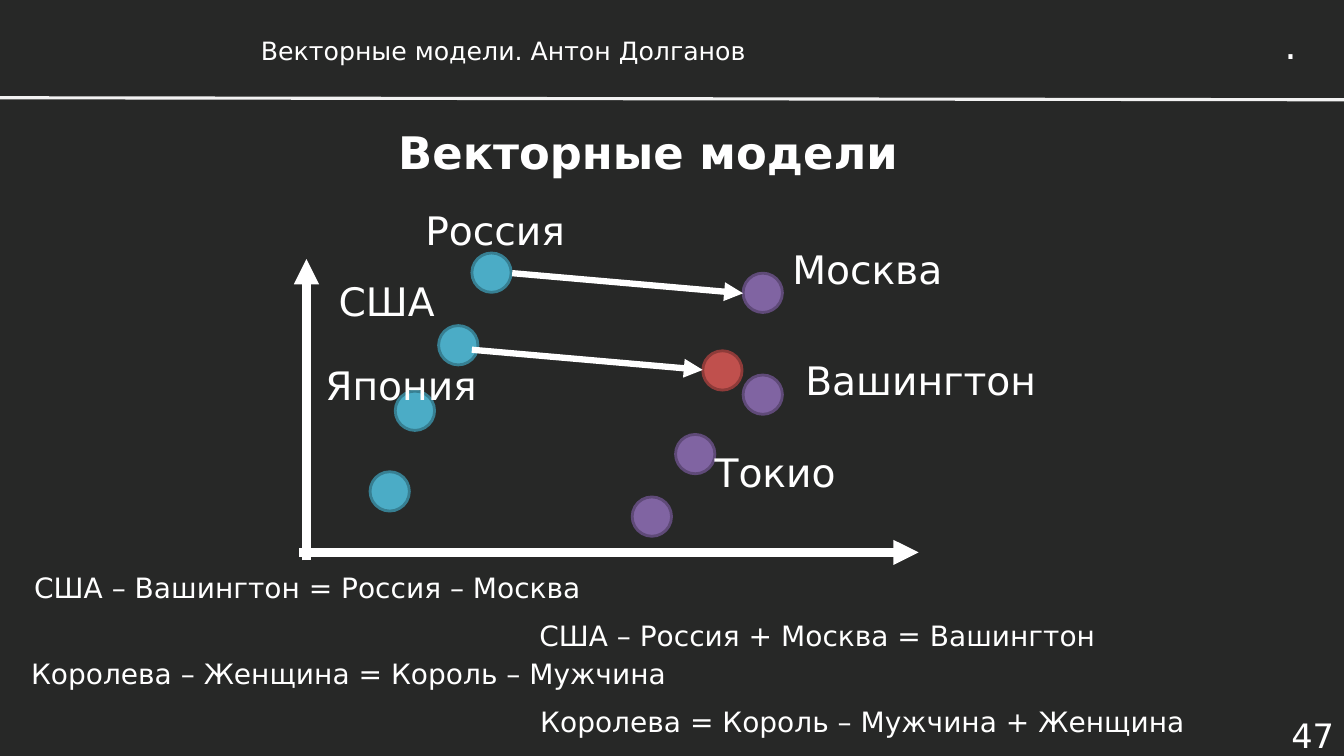
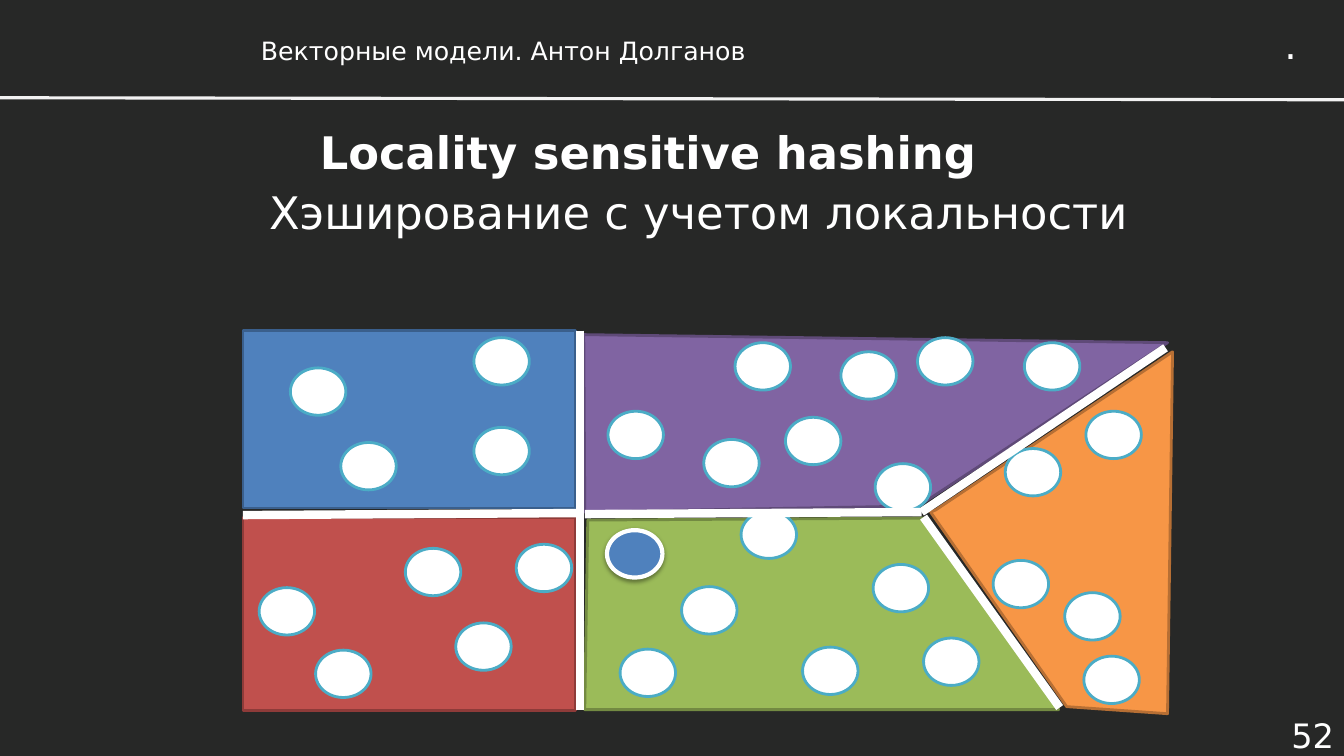
from dataclasses import dataclass

import pptx
import pptx.util
from lxml import etree
from pptx.dml.color import RGBColor
from pptx.enum.shapes import MSO_CONNECTOR, MSO_SHAPE
from pptx.enum.text import MSO_ANCHOR, MSO_AUTO_SIZE, PP_ALIGN
from pptx.oxml.ns import qn
from pptx.util import Inches, Pt


@dataclass(frozen=True)
class Paint:
    fill: str
    line: str


@dataclass(frozen=True)
class Theme:
    font: str = "DejaVu Sans"
    background: str = "272827"
    text: str = "FFFFFF"
    rule: str = "F2F2F2"
    shadow: str = "000000"
    blue: Paint = Paint("4F81BD", "3A5F8C")
    red: Paint = Paint("C0504D", "8E3B39")
    green: Paint = Paint("9BBB59", "738A42")
    purple: Paint = Paint("8064A2", "5F4A78")
    teal: Paint = Paint("4BACC6", "377F92")
    orange: Paint = Paint("F79646", "B76F34")
    point: Paint = Paint("FFFFFF", "4BACC6")
    query: Paint = Paint("4F81BD", "FFFFFF")
    title_size: int = 32
    label_size: int = 28
    number_size: int = 24
    formula_size: int = 20
    header_size: int = 18
    outline: float = 2
    query_outline: float = 3
    rule_width: float = 2.25
    arrow_width: float = 4.5
    axis_width: float = 6


@dataclass(frozen=True)
class Label:
    text: str
    left: float
    top: float
    width: float
    height: float
    size: int
    align: PP_ALIGN = PP_ALIGN.LEFT
    anchor: MSO_ANCHOR = MSO_ANCHOR.TOP
    wrap: bool = True
    grow: bool = True


@dataclass(frozen=True)
class Segment:
    start: tuple[float, float]
    end: tuple[float, float]
    width: float
    arrow: bool = False
    color: str = "FFFFFF"


@dataclass(frozen=True)
class Dots:
    paint: Paint
    corners: list[tuple[float, float]]


@dataclass(frozen=True)
class Region:
    paint: Paint
    outline: list[tuple[float, float]]


THEME = Theme()
HEADER = "Векторные модели. Антон Долганов"
SLIDE_WIDTH, SLIDE_HEIGHT = 13.33, 7.5
WORD_DOT = (0.39, 0.39)
HASH_DOT = (0.55, 0.47)


# Drawing helpers
def add_run(paragraph, text: str, size: int, bold: bool = False) -> None:
    run = paragraph.add_run()
    run.text = text
    run.font.name = THEME.font
    run.font.size = Pt(size)
    run.font.bold = bold
    run.font.color.rgb = RGBColor.from_string(THEME.text)


def add_label(slide, label: Label) -> None:
    box = slide.shapes.add_textbox(Inches(label.left), Inches(label.top),
                                   Inches(label.width), Inches(label.height))
    frame = box.text_frame
    frame.word_wrap = label.wrap
    frame.auto_size = MSO_AUTO_SIZE.SHAPE_TO_FIT_TEXT if label.grow else MSO_AUTO_SIZE.NONE
    frame.vertical_anchor = label.anchor
    frame.paragraphs[0].alignment = label.align
    add_run(frame.paragraphs[0], label.text, label.size)


def add_segment(slide, segment: Segment) -> None:
    line = slide.shapes.add_connector(MSO_CONNECTOR.STRAIGHT,
                                      *map(Inches, segment.start + segment.end))
    line.line.color.rgb = RGBColor.from_string(segment.color)
    line.line.width = Pt(segment.width)
    properties = line._element.spPr
    if segment.arrow:
        etree.SubElement(properties.find(qn("a:ln")), qn("a:tailEnd"), type="triangle")
    etree.SubElement(properties, qn("a:effectLst"))


def paint_shape(shape, paint: Paint, outline: float = THEME.outline) -> None:
    shape.shadow.inherit = False
    shape.fill.solid()
    shape.fill.fore_color.rgb = RGBColor.from_string(paint.fill)
    shape.line.color.rgb = RGBColor.from_string(paint.line)
    shape.line.width = Pt(outline)


def add_dot(slide, corner: tuple[float, float], size: tuple[float, float],
            paint: Paint, outline: float = THEME.outline):
    dot = slide.shapes.add_shape(MSO_SHAPE.OVAL, *map(Inches, corner + size))
    paint_shape(dot, paint, outline)
    return dot


def add_soft_shadow(shape) -> None:
    effects = shape._element.spPr.find(qn("a:effectLst"))
    shadow = etree.SubElement(effects, qn("a:outerShdw"), blurRad=str(Pt(3.1)),
                              dist=str(Pt(1.6)), dir=str(90 * 60000), rotWithShape="0")
    color = etree.SubElement(shadow, qn("a:srgbClr"), val=THEME.shadow)
    etree.SubElement(color, qn("a:alpha"), val="38000")


def add_region(slide, region: Region) -> None:
    first, *rest = [(Inches(x), Inches(y)) for x, y in region.outline]
    builder = slide.shapes.build_freeform(*first)
    builder.add_line_segments(rest, close=True)
    paint_shape(builder.convert_to_shape(), region.paint)


def add_block(slide, top: float, height: float, paint: Paint) -> None:
    block = slide.shapes.add_shape(MSO_SHAPE.RECTANGLE, Inches(2.41), Inches(top),
                                   Inches(3.3), Inches(height))
    paint_shape(block, paint)


# Title, header band and page number shared by the slides
def start_slide(deck, heading: str, number: int):
    slide = deck.slides.add_slide(deck.slide_layouts[5])
    title = slide.shapes.title
    title.left, title.top = Inches(2.1), Inches(1.05)
    title.width, title.height = Inches(8.66), Inches(0.91)
    title.text_frame.vertical_anchor = MSO_ANCHOR.MIDDLE
    title.text_frame.paragraphs[0].alignment = PP_ALIGN.CENTER
    add_run(title.text_frame.paragraphs[0], heading, THEME.title_size, bold=True)

    add_label(slide, Label(str(number), 12.28, 7.08, 1.05, 0.42, THEME.number_size,
                           PP_ALIGN.RIGHT, MSO_ANCHOR.MIDDLE, grow=False))
    add_segment(slide, Segment((0, 0.97), (SLIDE_WIDTH, 0.99), THEME.rule_width,
                               color=THEME.rule))
    add_label(slide, Label(".", 12.64, 0.15, 0.34, 0.57, THEME.label_size, wrap=False))
    add_label(slide, Label(HEADER, 2.49, 0.3, 8.27, 0.4, THEME.header_size))
    return slide


def build_vector_models(deck) -> None:
    slide = start_slide(deck, "Векторные модели", 47)

    # Axes
    for axis_start, axis_end in [((2.97, 5.48), (9.11, 5.48)), ((3.04, 5.56), (3.04, 2.57))]:
        add_segment(slide, Segment(axis_start, axis_end, THEME.axis_width, arrow=True))

    # Countries, capitals and the estimated capital
    for group in [
        Dots(THEME.teal, [(4.68, 2.51), (4.35, 3.23), (3.92, 3.88), (3.67, 4.68)]),
        Dots(THEME.purple, [(6.7, 4.31), (7.37, 3.72), (7.37, 2.71), (6.27, 4.93)]),
        Dots(THEME.red, [(6.97, 3.48)]),
    ]:
        for corner in group.corners:
            add_dot(slide, corner, WORD_DOT, group.paint)

    # The same offset leads from each country to its capital
    offset_x, offset_y = 2.29, 0.2
    for x, y in [(5.08, 2.71), (4.68, 3.47)]:
        add_segment(slide, Segment((x, y), (x + offset_x, y + offset_y),
                                   THEME.arrow_width, arrow=True))

    # Words
    for word, left, top, width in [
        ("Россия", 4.12, 2, 1.6),
        ("США", 3.26, 2.7, 1.6),
        ("Япония", 3.13, 3.54, 1.87),
        ("Москва", 7.76, 2.38, 2.72),
        ("Вашингтон", 7.89, 3.49, 2.87),
        ("Токио", 6.99, 4.4, 1.6),
    ]:
        add_label(slide, Label(word, left, top, width, 0.57, THEME.label_size))

    # Word arithmetic
    for formula, left, top, width in [
        ("США – Вашингтон = Россия – Москва", 0.24, 5.61, 8.88),
        ("США – Россия + Москва = Вашингтон", 5.25, 6.09, 8.88),
        ("Королева – Женщина = Король – Мужчина", 0.21, 6.46, 7.7),
        ("Королева = Король – Мужчина + Женщина", 5.26, 6.94, 7.7),
    ]:
        add_label(slide, Label(formula, left, top, width, 0.44, THEME.formula_size))


def build_hashing(deck) -> None:
    slide = start_slide(deck, "Locality sensitive hashing", 52)
    add_label(slide, Label("Хэширование с учетом локальности", 2.57, 1.78, 8.86, 0.64,
                           THEME.title_size))

    # Hash regions
    for region in [
        Region(THEME.orange, [(9.23, 5.08), (9.28, 5.06), (11.63, 3.49),
                              (11.58, 7.08), (10.58, 7.01)]),
        Region(THEME.purple, [(5.79, 3.32), (5.8, 5.08), (9.11, 5.02), (11.58, 3.4)]),
        Region(THEME.green, [(5.83, 5.16), (5.8, 7.04), (10.5, 7.04), (9.17, 5.14)]),
    ]:
        add_region(slide, region)
    add_block(slide, 5.13, 1.92, THEME.red)
    add_block(slide, 3.28, 1.76, THEME.blue)

    # Points, listed by region
    points = [
        # blue
        (2.88, 3.65), (4.7, 3.35), (3.38, 4.39), (4.7, 4.24),
        # red
        (4.02, 5.44), (2.57, 5.83), (5.12, 5.4), (4.52, 6.18), (3.13, 6.45),
        # purple
        (6.03, 4.08), (7.29, 3.4), (8.34, 3.49), (8.68, 4.6), (10.16, 3.4),
        (9.1, 3.35), (7.79, 4.14), (6.98, 4.36),
        # green
        (6.15, 6.44), (8.66, 5.6), (6.76, 5.82), (7.96, 6.42), (9.16, 6.33), (7.35, 5.07),
        # orange
        (10.56, 5.88), (9.97, 4.45), (9.85, 5.56), (10.77, 4.08), (10.75, 6.51),
    ]
    for corner in points:
        add_dot(slide, corner, HASH_DOT, THEME.point)
    query = add_dot(slide, (6.02, 5.26), HASH_DOT, THEME.query, THEME.query_outline)
    add_soft_shadow(query)

    # Dividing lines
    for start, end in [
        ((2.41, 5.11), (5.75, 5.09)),
        ((5.75, 3.28), (5.75, 7.04)),
        ((5.8, 5.1), (9.14, 5.08)),
        ((9.14, 5.08), (11.56, 3.45)),
        ((9.16, 5.13), (10.51, 7.02)),
    ]:
        add_segment(slide, Segment(start, end, THEME.axis_width))


def main() -> None:
    deck = pptx.Presentation()
    deck.slide_width, deck.slide_height = Inches(SLIDE_WIDTH), Inches(SLIDE_HEIGHT)
    backdrop = deck.slide_master.background.fill
    backdrop.solid()
    backdrop.fore_color.rgb = RGBColor.from_string(THEME.background)
    build_vector_models(deck)
    build_hashing(deck)
    deck.save("out.pptx")


if __name__ == "__main__":
    main()
